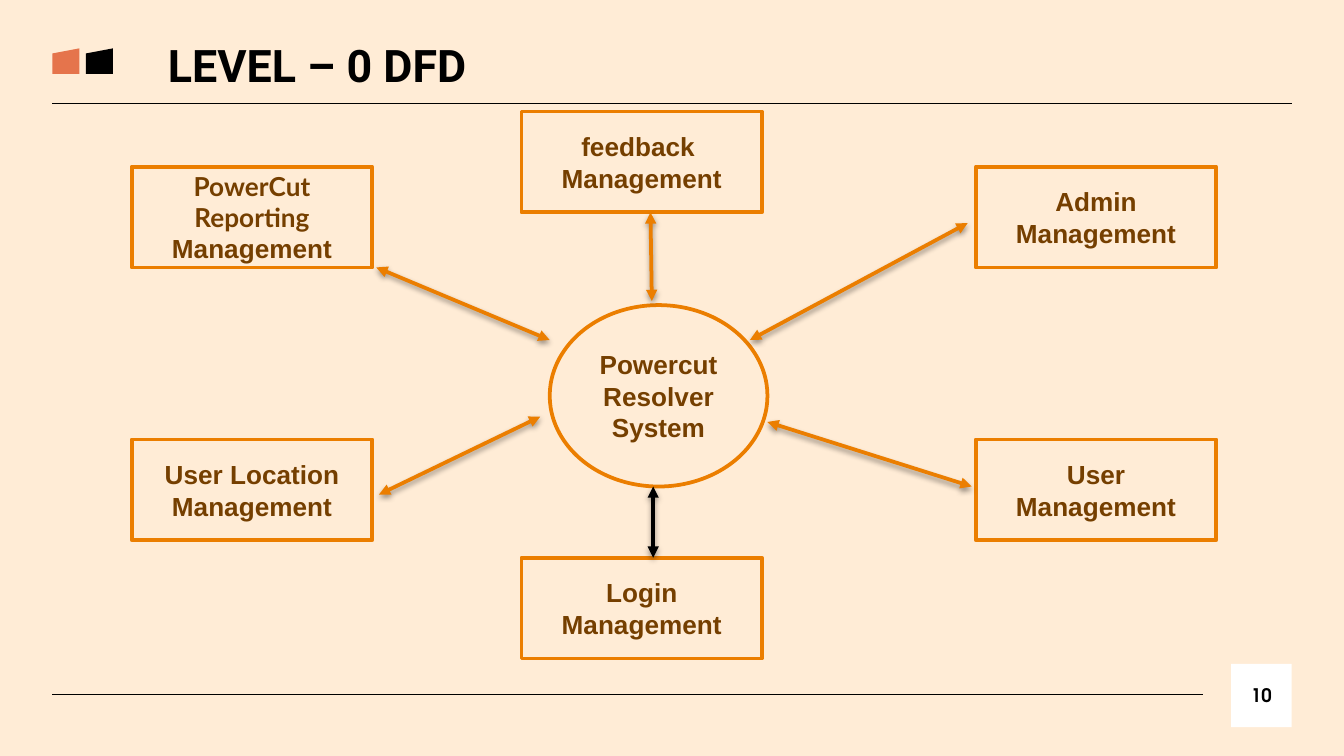
from pptx import Presentation
from pptx.dml.color import RGBColor
from pptx.enum.shapes import MSO_CONNECTOR, MSO_SHAPE
from pptx.enum.text import MSO_ANCHOR, PP_ALIGN
from pptx.oxml import parse_xml
from pptx.oxml.ns import nsdecls
from pptx.util import Inches, Pt

CREAM = RGBColor(0xFF, 0xEC, 0xD6)
ORANGE = RGBColor(0xEB, 0x7E, 0x00)
BROWN = RGBColor(0x75, 0x3F, 0x00)
CORAL = RGBColor(0xE5, 0x74, 0x4C)
BLACK = RGBColor(0, 0, 0)
WHITE = RGBColor(0xFF, 0xFF, 0xFF)

BOX_W, BOX_H = 1.79, 0.75
LEFT, MID, RIGHT = 0.98, 3.88, 7.26
UPPER, LOWER = 1.24, 3.27

# Each box: left, top, paragraphs of (text, font) runs
BOXES = [
    (MID, 0.83, [[("feedback ", "Arial")], [("Management", "Arial")]]),
    (LEFT, UPPER, [[("PowerCut Reporting ", "Lato"), ("Management", "Arial")]]),
    (LEFT, LOWER, [[("User Location Management", "Arial")]]),
    (MID, 4.15, [[("Login Management", "Arial")]]),
    (RIGHT, LOWER, [[("User Management", "Arial")]]),
    (RIGHT, UPPER, [[("Admin Management", "Arial")]]),
]

# Each arrow: start, end, colour
ARROWS = [
    ((4.84, 1.58), (4.85, 2.24), ORANGE),
    ((4.02, 3.1), (2.82, 3.68), ORANGE),
    ((7.2, 1.66), (5.58, 2.53), ORANGE),
    ((4.86, 3.62), (4.86, 4.15), BLACK),
    ((2.8, 1.99), (4.09, 2.53), ORANGE),
    ((7.23, 3.62), (5.71, 3.14), ORANGE),
]

SHADOW = (
    '<a:outerShdw blurRad="39370" dist="20320" dir="5400000" rotWithShape="0">'
    '<a:srgbClr val="000000"><a:alpha val="38000"/></a:srgbClr></a:outerShdw>'
)


def add_run(para, text, font, size, color):
    run = para.add_run()
    run.text = text
    run.font.name = font
    run.font.size = Pt(size)
    run.font.bold = True
    run.font.color.rgb = color


def add_shape(slide, kind, left, top, width, height, fill, line=None):
    shape = slide.shapes.add_shape(
        kind, Inches(left), Inches(top), Inches(width), Inches(height))
    shape.shadow.inherit = False
    shape.fill.solid()
    shape.fill.fore_color.rgb = fill
    if line is None:
        shape.line.fill.background()
    else:
        shape.line.color.rgb = line
        shape.line.width = Pt(2)
    return shape


def add_node(slide, kind, left, top, width, height, paras):
    shape = add_shape(slide, kind, left, top, width, height, CREAM, ORANGE)
    frame = shape.text_frame
    frame.word_wrap = True
    frame.vertical_anchor = MSO_ANCHOR.MIDDLE
    for i, runs in enumerate(paras):
        para = frame.add_paragraph() if i else frame.paragraphs[0]
        para.alignment = PP_ALIGN.CENTER
        for text, font in runs:
            add_run(para, text, font, 14, BROWN)


def add_line(slide, start, end, color, width, effect=""):
    line = slide.shapes.add_connector(
        MSO_CONNECTOR.STRAIGHT, *map(Inches, start + end))
    line.line.color.rgb = color
    line.line.width = Pt(width)
    line._element.spPr.append(
        parse_xml(f'<a:effectLst {nsdecls("a")}>{effect}</a:effectLst>'))
    return line


def add_arrow(slide, start, end, color):
    line = add_line(slide, start, end, color, 2, SHADOW)
    for tag in ("headEnd", "tailEnd"):
        line.line._get_or_add_ln().append(
            parse_xml(f'<a:{tag} {nsdecls("a")} type="triangle"/>'))


def add_title(slide, text):
    box = slide.shapes.add_textbox(
        Inches(1.08), Inches(0.18), Inches(2.7), Inches(0.59))
    frame = box.text_frame
    frame.word_wrap = True
    frame.margin_left = Inches(0.17)
    frame.margin_right = frame.margin_top = frame.margin_bottom = Inches(0.1)
    add_run(frame.paragraphs[0], text, "Roboto", 24, BLACK)


def add_number(slide, text):
    box = add_shape(slide, MSO_SHAPE.RECTANGLE, 9.16, 4.94, 0.45, 0.47, WHITE)
    frame = box.text_frame
    frame.vertical_anchor = MSO_ANCHOR.MIDDLE
    frame.margin_left = frame.margin_right = Inches(0.1)
    frame.margin_top = frame.margin_bottom = Inches(0.1)
    para = frame.paragraphs[0]
    para.alignment = PP_ALIGN.CENTER
    add_run(para, text, "TeX Gyre Adventor", 10, BLACK)


def main():
    deck = Presentation()
    # Wide 16:9 page
    deck.slide_width, deck.slide_height = Inches(10), Inches(10 * 9 / 16)
    slide = deck.slides.add_slide(deck.slide_layouts[6])
    slide.background.fill.solid()
    slide.background.fill.fore_color.rgb = CREAM

    # Frame: rules, page number, title and its marks
    add_line(slide, (9.61, 0.77), (0.39, 0.77), BLACK, 0.75)
    add_line(slide, (8.95, 5.17), (0.39, 5.17), BLACK, 0.75)
    add_number(slide, "10")
    add_title(slide, "LEVEL – 0 DFD")
    for left, color in ((0.39, CORAL), (0.64, BLACK)):
        add_shape(slide, MSO_SHAPE.FLOWCHART_MANUAL_INPUT,
                  left, 0.36, 0.2, 0.19, color)

    # Diagram: hub, boxes around it, arrows between
    add_node(slide, MSO_SHAPE.OVAL, 4.09, 2.27, 1.62, 1.35,
             [[("Powercut Resolver System", "Arial")]])
    for left, top, paras in BOXES:
        add_node(slide, MSO_SHAPE.RECTANGLE, left, top, BOX_W, BOX_H, paras)
    for start, end, color in ARROWS:
        add_arrow(slide, start, end, color)

    deck.save("out.pptx")


if __name__ == "__main__":
    main()
